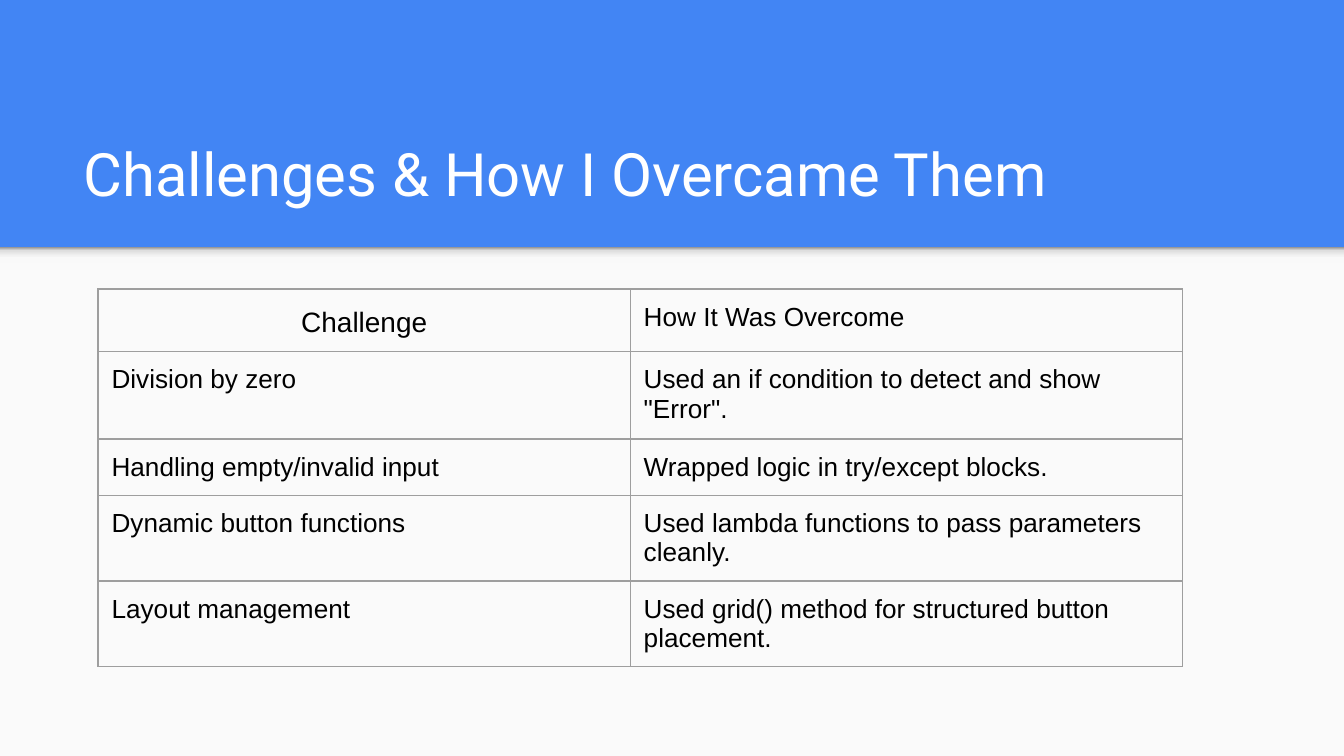
from lxml.etree import SubElement
from pptx import Presentation
from pptx.dml.color import RGBColor
from pptx.enum.shapes import MSO_SHAPE
from pptx.enum.text import MSO_ANCHOR, MSO_AUTO_SIZE, PP_ALIGN
from pptx.oxml.ns import qn
from pptx.util import Inches, Pt

BLUE, PAPER, WHITE, BLACK, GRID = "4285F4", "FAFAFA", "FFFFFF", "000000", "9E9E9E"
SHADOW_STOPS = [(0, "F9F9F9"), (36, "F9F9F9"), (80, "DEDEDE"), (100, "999999")]
ROWS = [
    ("Challenge", "How It Was Overcome"),
    ("Division by zero", 'Used an if condition to detect and show "Error".'),
    ("Handling empty/invalid input", "Wrapped logic in try/except blocks."),
    ("Dynamic button functions", "Used lambda functions to pass parameters cleanly."),
    ("Layout management", "Used grid() method for structured button placement."),
]
COLUMN_WIDTHS = [3.96, 4.11]
ROW_HEIGHTS = [0.42, 0.65, 0.42, 0.42, 0.42]


def write_text(frame, text, size=14, font="Arial", color=BLACK,
               align=PP_ALIGN.LEFT, line_spacing=1.0):
    paragraph = frame.paragraphs[0]
    paragraph.alignment = align
    paragraph.line_spacing = line_spacing
    run = paragraph.add_run()
    run.text = text
    run.font.size = Pt(size)
    run.font.name = font
    run.font.color.rgb = RGBColor.from_string(color)


def add_color(parent, color):
    SubElement(parent, qn("a:srgbClr"), val=color)


presentation = Presentation()
presentation.slide_width = Inches(10)
presentation.slide_height = Inches(10) * 9 // 16
slide = presentation.slides.add_slide(presentation.slide_layouts[5])
slide.background.fill.solid()
slide.background.fill.fore_color.rgb = RGBColor.from_string(BLUE)

# Light lower panel with a soft shadow strip along its top edge
panel_top = Inches(1.84)
panel_height = presentation.slide_height - panel_top
panel, strip = [
    slide.shapes.add_shape(MSO_SHAPE.RECTANGLE, 0, panel_top, Inches(10), height)
    for height in (panel_height, Inches(0.12))
]
for shape in (panel, strip):
    shape.shadow.inherit = False
    shape.line.fill.background()
panel.fill.solid()
panel.fill.fore_color.rgb = RGBColor.from_string(PAPER)
strip.fill.gradient()
strip.fill.gradient_angle = 90
stop_list = next(strip.element.iter(qn("a:gsLst")))
stop_list.clear()
for position, color in SHADOW_STOPS:
    add_color(SubElement(stop_list, qn("a:gs"), pos=str(position * 1000)), color)

title = slide.shapes.title
title.left, title.top = Inches(0.52), Inches(0.81)
title.width, title.height = Inches(8.99), Inches(0.84)
frame = title.text_frame
frame.word_wrap = True
frame.auto_size = MSO_AUTO_SIZE.NONE
frame.vertical_anchor = MSO_ANCHOR.BOTTOM
frame.margin_left = frame.margin_right = frame.margin_top = frame.margin_bottom = Inches(0.1)
write_text(frame, "Challenges & How I Overcame Them", size=32, font="Roboto", color=WHITE)

table = slide.shapes.add_table(
    len(ROWS), len(COLUMN_WIDTHS), Inches(0.73), Inches(2.15),
    Inches(sum(COLUMN_WIDTHS)), Inches(sum(ROW_HEIGHTS)),
).table
table.first_row = table.horz_banding = False
for column, width in zip(table.columns, COLUMN_WIDTHS):
    column.width = Inches(width)
for row, height, texts in zip(table.rows, ROW_HEIGHTS, ROWS):
    row.height = Inches(height)
    for cell, text in zip(row.cells, texts):
        cell.margin_left = cell.margin_right = Inches(0.1)
        cell.margin_top = cell.margin_bottom = Inches(0.1)
        if text == "Challenge":
            write_text(cell.text_frame, text, size=15, align=PP_ALIGN.CENTER, line_spacing=1.15)
        else:
            write_text(cell.text_frame, text)
        # Borders must come before the fill in the cell properties
        properties = cell._tc.get_or_add_tcPr()
        for side in ("lnL", "lnR", "lnT", "lnB"):
            border = SubElement(properties, qn(f"a:{side}"), w=str(Pt(0.75)))
            add_color(SubElement(border, qn("a:solidFill")), GRID)
        cell.fill.background()

presentation.save("out.pptx")
